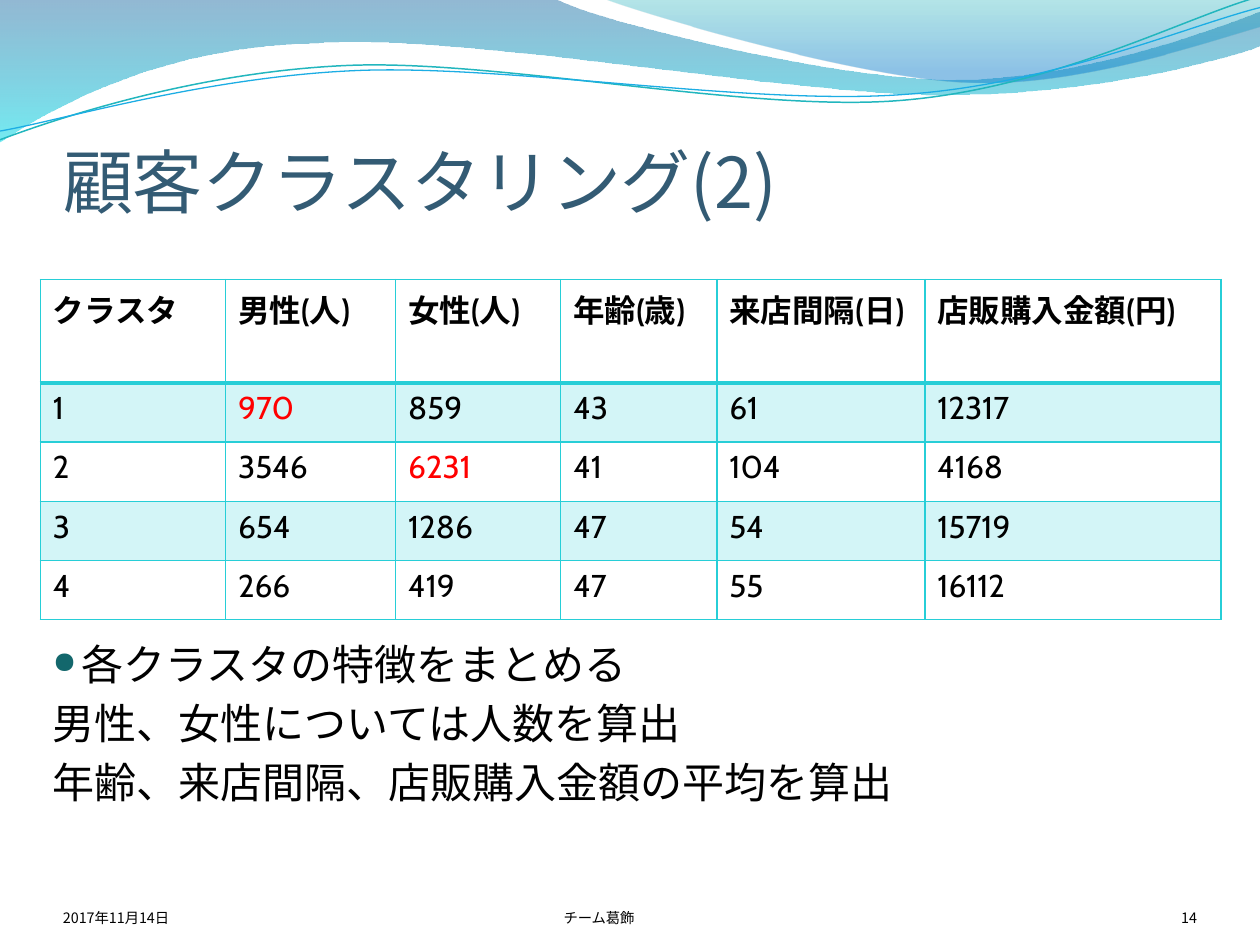
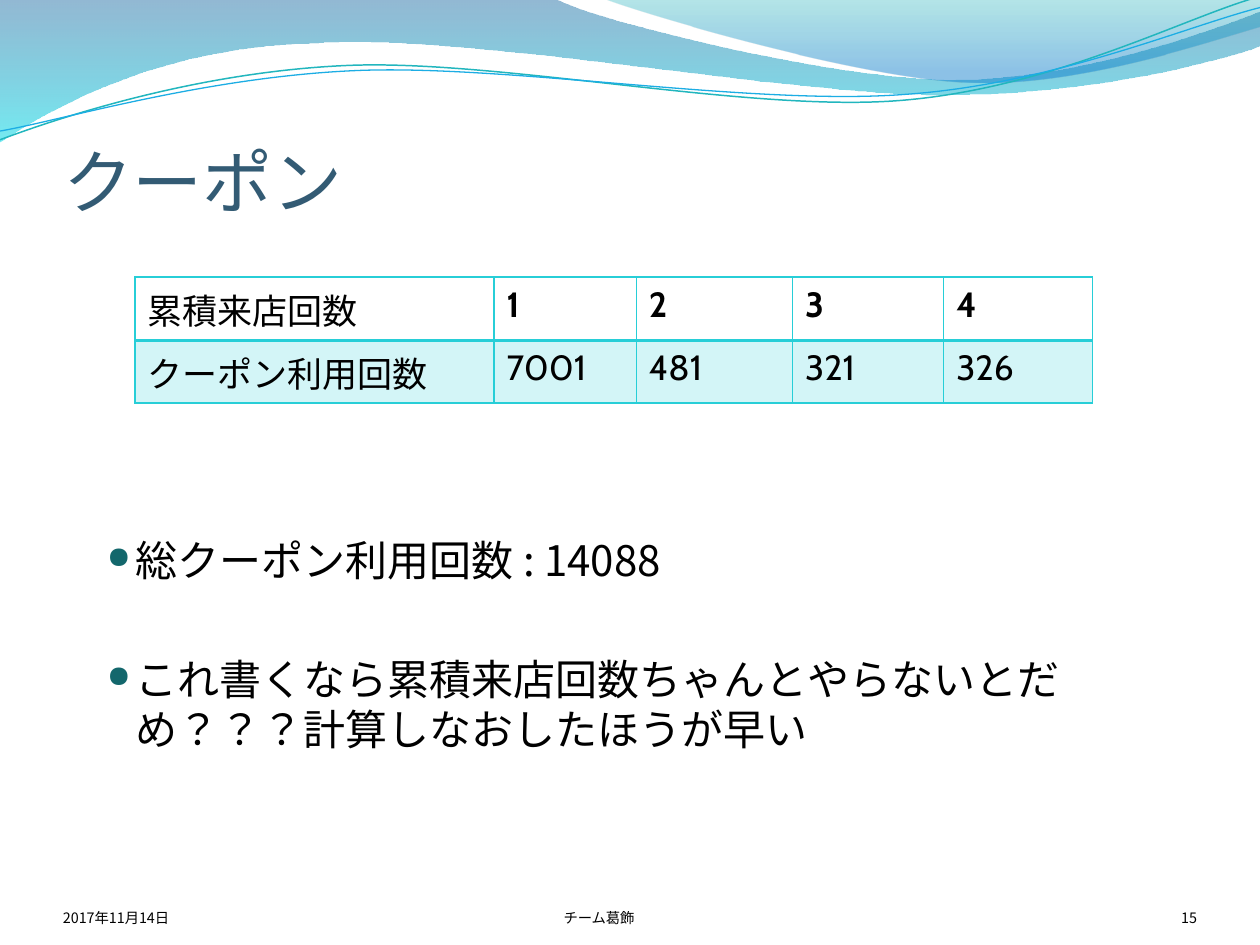
"""Build two slides on customer clusters and coupon use."""
import math
from dataclasses import dataclass

from lxml import etree
from pptx import Presentation
from pptx.dml.color import RGBColor
from pptx.enum import lang
from pptx.enum import text as t
from pptx.oxml import ns
from pptx.util import Inches, Pt


@dataclass(frozen=True)
class Theme:
    """Colours, fonts and type sizes of the deck."""
    ink: str = "000000"
    head: str = "335B74"
    grid: str = "27CED7"
    mark: str = "FF0000"
    dot: str = "13676C"
    sans: str = "Noto Sans CJK JP"
    cell: str = "Cabin"
    title: float = 40
    body: float = 24
    foot: float = 8.2
    gap: float = 4.8


THEME = Theme()

BAND = [(0, 0), [(4.4, -0.01)],
        [(4.75, 0.17), (6.63, 0.63), (7.58, 0.63)],
        [(8.53, 0.63), (9.58, 0.26), (10, 0.09)], [(10.01, 0.36)],
        [(9.83, 0.44), (8.69, 0.76), (7.46, 0.75)],
        [(6.22, 0.75), (3.81, 0.28), (2.57, 0.34)],
        [(1.29, 0.36), (0.46, 0.83), (-0.01, 1.13)], [(0, 0)]]
CREST = [(4.79, -0.01), [(5.09, 0.11), (6.82, 0.62), (7.68, 0.65)],
         [(8.55, 0.69), (9.61, 0.32), (10, 0.21)], [(10, 0)], [(4.79, -0.01)]]
TEAL = [(0, 1.11), [(0.48, 0.93), (1.57, 0.57), (2.76, 0.52)],
        [(3.95, 0.47), (5.92, 0.89), (7.12, 0.8)],
        [(8.33, 0.71), (9.38, 0.15), (9.97, -0.02)]]
BLUE = [(0, 1.04), [(0.47, 0.96), (1.63, 0.61), (2.83, 0.56)],
        [(4.02, 0.51), (5.97, 0.84), (7.17, 0.75)],
        [(8.36, 0.67), (9.41, 0.21), (10, 0.06)]]
TILT = 2.7
PIVOT = (4.99, 0.58)


def rgb(code):
    """Turn a hex code into a colour."""
    return RGBColor.from_string(code)


def sub(node, tag, **attrs):
    """Append a drawing element to a node."""
    return etree.SubElement(node, ns.qn("a:" + tag), attrs)


def fade(node, part):
    """Set the opacity, in percent, of each colour under a node."""
    for clr in node.iter(ns.qn("a:srgbClr")):
        sub(clr, "alpha", val=str(part * 1000))


def turn(point, angle):
    """Turn a point clockwise about the pivot and give it in lengths."""
    a = math.radians(angle)
    x, y = point[0] - PIVOT[0], point[1] - PIVOT[1]
    return (Inches(PIVOT[0] + x * math.cos(a) - y * math.sin(a)),
            Inches(PIVOT[1] + x * math.sin(a) + y * math.cos(a)))


def bend(shape, legs):
    """Join each leg of three points into one cubic curve."""
    lines = list(shape._element.iter(ns.qn("a:lnTo")))
    for leg in legs:
        first, *rest = lines[:len(leg)]
        lines = lines[len(leg):]
        if rest:
            first.tag = ns.qn("a:cubicBezTo")
        for line in rest:
            first.append(line[0])
            line.getparent().remove(line)


def curve(slide, route, angle=0):
    """Draw an outline of straight and cubic legs."""
    start, *legs = route
    pen = slide.shapes.build_freeform(*turn(start, angle))
    pen.add_line_segments([turn(p, angle) for leg in legs for p in leg],
                          close=start == legs[-1][-1])
    shape = pen.convert_to_shape()
    bend(shape, legs)
    shape.rotation = -angle % 360
    shape.shadow.inherit = False
    return shape


def wash(slide, route, stops):
    """Draw a closed wave with a downward gradient."""
    shape = curve(slide, route)
    shape.line.fill.background()
    shape.fill.gradient()
    shape.fill.gradient_angle = 270
    for stop, (place, code, part) in zip(shape.fill.gradient_stops, stops):
        stop.position = place
        stop.color.rgb = rgb(code)
        fade(stop.color._xFill, part)
    return shape


def thread(slide, route, code, width):
    """Draw a thin open wave."""
    shape = curve(slide, route, TILT)
    shape.fill.background()
    shape.line.color.rgb = rgb(code)
    shape.line.width = Pt(width)
    return shape


def decor(slide, layout):
    """Draw the waves once and hand them to the shared layout."""
    waves = [wash(slide, BAND, [(0, "10639E", 45), (1, "00DBE7", 55)]),
             wash(slide, CREST, [(0, "09AAB3", 30), (0.8, "0578CB", 45)]),
             thread(slide, TEAL, "22B6BE", 0.85),
             thread(slide, BLUE, "1CADE4", 0.75)]
    for i, shape in enumerate(waves):
        layout.shapes._spTree.insert(2 + i, shape._element)


def write(para, words, size=THEME.body, font=THEME.sans, color=THEME.ink, bold=False,
          align=t.PP_ALIGN.LEFT, pitch=None, above=None, dot=False):
    """Put formatted words into a paragraph."""
    para.alignment = align
    if pitch:
        para.line_spacing = pitch
    if above is not None:
        para.space_before = Pt(above)
    if dot:
        props = para._p.get_or_add_pPr()
        props.set("marL", str(Inches(0.23)))
        props.set("indent", str(-Inches(0.23)))
        sub(sub(props, "buClr"), "srgbClr", val=THEME.dot)
        sub(props, "buSzPct", val="72000")
        sub(props, "buChar", char="●")
    run = para.add_run()
    run.text = words
    run.font.size = Pt(size)
    run.font.bold = bold
    run.font.color.rgb = rgb(color)
    run.font.name = font
    run.font.language_id = lang.MSO_LANGUAGE_ID.JAPANESE
    sub(run._r.get_or_add_rPr(), "ea", typeface=THEME.sans)


def inset(frame, left, top, right, low):
    """Set the margins of a text frame."""
    frame.margin_left, frame.margin_top = Inches(left), Inches(top)
    frame.margin_right, frame.margin_bottom = Inches(right), Inches(low)


def box(slide, *place):
    """Add a wrapping text box and return its frame."""
    frame = slide.shapes.add_textbox(*map(Inches, place)).text_frame
    frame.word_wrap = True
    return frame


def body(slide, place, lines):
    """Add body lines, each with words, bullet flag and space above."""
    frame = box(slide, *place)
    inset(frame, 0.1, 0.05, 0.3, 0.05)
    for i, (words, dot, above) in enumerate(lines):
        para = frame.add_paragraph() if i else frame.paragraphs[0]
        write(para, words, dot=dot, above=above)


def foot(slide, number):
    """Add date, team and slide number along the foot."""
    side = t.PP_ALIGN
    for left, wide, words, align in ((0.5, 2.33, "2017年11月14日", side.LEFT),
                                     (2.92, 3.67, "チーム葛飾", side.CENTER),
                                     (8.67, 0.83, str(number), side.RIGHT)):
        frame = box(slide, left, 6.95, wide, 0.4)
        inset(frame, 0, 0, 0, 0)
        frame.vertical_anchor = t.MSO_ANCHOR.BOTTOM
        write(frame.paragraphs[0], words, size=THEME.foot, align=align)


def page(slide, words, number):
    """Set the title and footers of a slide."""
    title = slide.shapes.title
    title.left, title.top, title.width, title.height = map(Inches, (0.5, 0.51, 9, 1.25))
    frame = title.text_frame
    frame.auto_size = t.MSO_AUTO_SIZE.NONE
    frame.vertical_anchor = t.MSO_ANCHOR.BOTTOM
    inset(frame, 0, 0.05, 0, 0)
    write(frame.paragraphs[0], words, size=THEME.title, color=THEME.head, pitch=0.8)
    foot(slide, number)


def edge(cell, first, second):
    """Rule a cell, heavier between the header and the first row."""
    props = cell._tc.get_or_add_tcPr()
    heavy = {"lnB": first, "lnT": second}
    for i, tag in enumerate(("lnL", "lnR", "lnT", "lnB")):
        rule = sub(props, tag, w=str(Pt(2 if heavy.get(tag) else 1)))
        sub(sub(rule, "solidFill"), "srgbClr", val=THEME.grid)
        props.insert(i, rule)


def grid(slide, spot, cols, rows, data, size, marks=(), plain=()):
    """Add a banded table with marked values and unbolded header cells."""
    area = (*spot, sum(cols), sum(rows))
    table = slide.shapes.add_table(len(rows), len(cols), *map(Inches, area)).table
    table.first_row = table.horz_banding = False
    for col, wide in zip(table.columns, cols):
        col.width = Inches(wide)
    for r, (row, high) in enumerate(zip(data, rows)):
        table.rows[r].height = Inches(high)
        for c, words in enumerate(row):
            cell = table.cell(r, c)
            if r % 2:
                cell.fill.solid()
                cell.fill.fore_color.rgb = rgb(THEME.grid)
                fade(cell._tc.tcPr, 20)
            else:
                cell.fill.background()
            edge(cell, r == 0, r == 1)
            write(cell.text_frame.paragraphs[0], words, size=size, font=THEME.cell,
                  bold=r == 0 and c not in plain,
                  color=THEME.mark if (r, c) in marks else THEME.ink)


def groups(slide):
    """Fill the slide on customer clusters."""
    page(slide, "顧客クラスタリング(2)", 14)
    data = [("クラスタ", "男性(人)", "女性(人)", "年齢(歳)", "来店間隔(日)", "店販購入金額(円)"),
            ("1", "970", "859", "43", "61", "12317"),
            ("2", "3546", "6231", "41", "104", "4168"),
            ("3", "654", "1286", "47", "54", "15719"),
            ("4", "266", "419", "47", "55", "16112")]
    grid(slide, (0.32, 2.22), (1.47, 1.35, 1.31, 1.24, 1.65, 2.35),
         [0.82] + [0.47] * 4, data, 18, marks={(1, 1), (2, 2)})
    body(slide, (0.32, 5.02, 9, 1.46),
         [("各クラスタの特徴をまとめる", True, THEME.gap),
          ("男性、女性については人数を算出", False, THEME.gap),
          ("年齢、来店間隔、店販購入金額の平均を算出", False, THEME.gap)])


def coupons(slide):
    """Fill the slide on coupon use."""
    page(slide, "クーポン", 15)
    data = [("累積来店回数", "1", "2", "3", "4"),
            ("クーポン利用回数", "7001", "481", "321", "326")]
    grid(slide, (1.07, 2.2), (2.85, 1.13, 1.24, 1.2, 1.18), (0.5, 0.5),
         data, 20, plain={0})
    body(slide, (0.75, 4.19, 9, 2.24),
         [("総クーポン利用回数 : 14088", True, THEME.gap),
          ("これ書くなら累積来店回数ちゃんとやらないとだめ？？？計算しなおしたほうが早い",
           True, 39.2)])


def main():
    """Build and save the deck."""
    deck = Presentation()
    deck.slide_width, deck.slide_height = Inches(10), Inches(7.5)
    layout = deck.slide_layouts[5]
    first, second = (deck.slides.add_slide(layout) for _ in range(2))
    decor(first, layout)
    groups(first)
    coupons(second)
    deck.save("out.pptx")


main()
